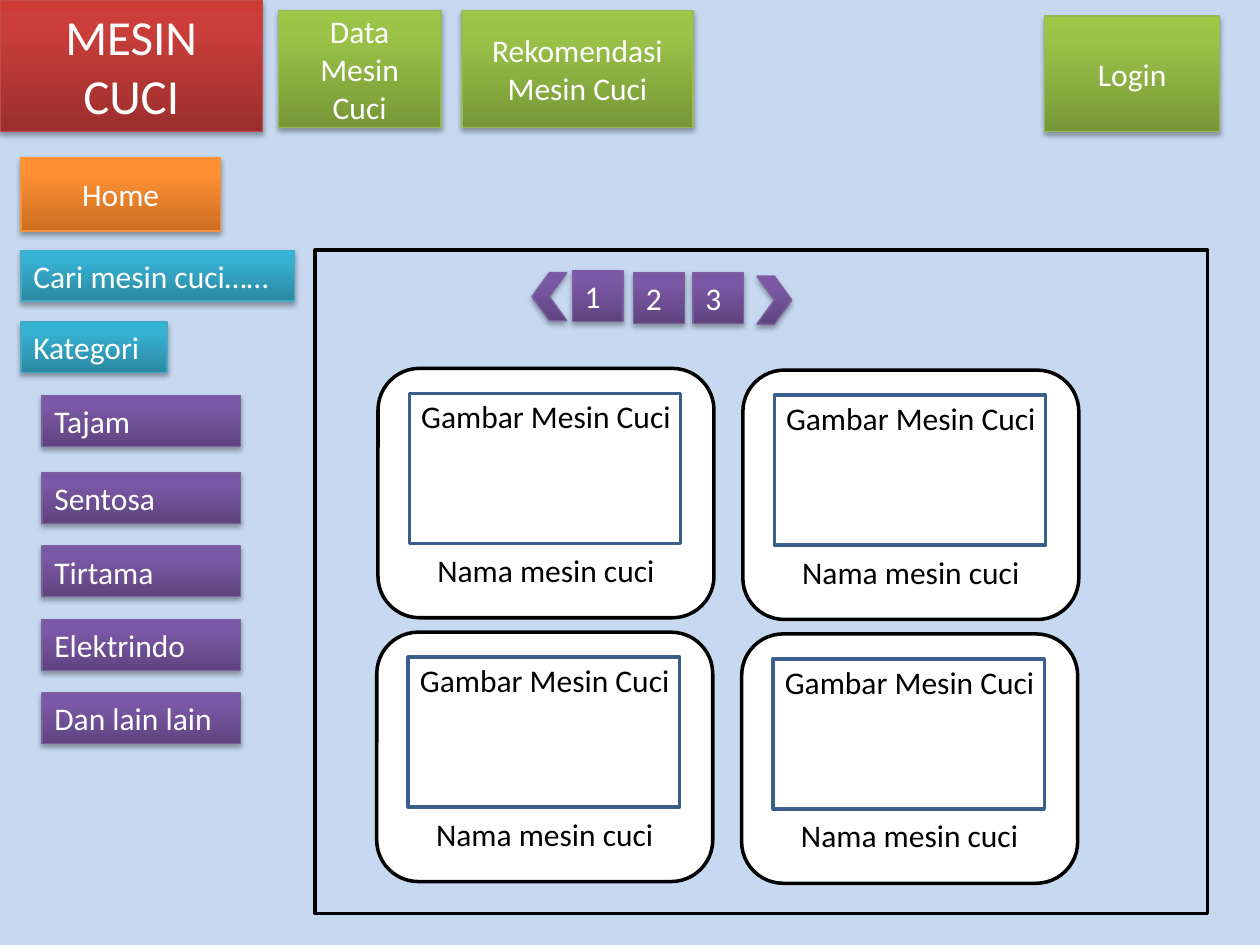
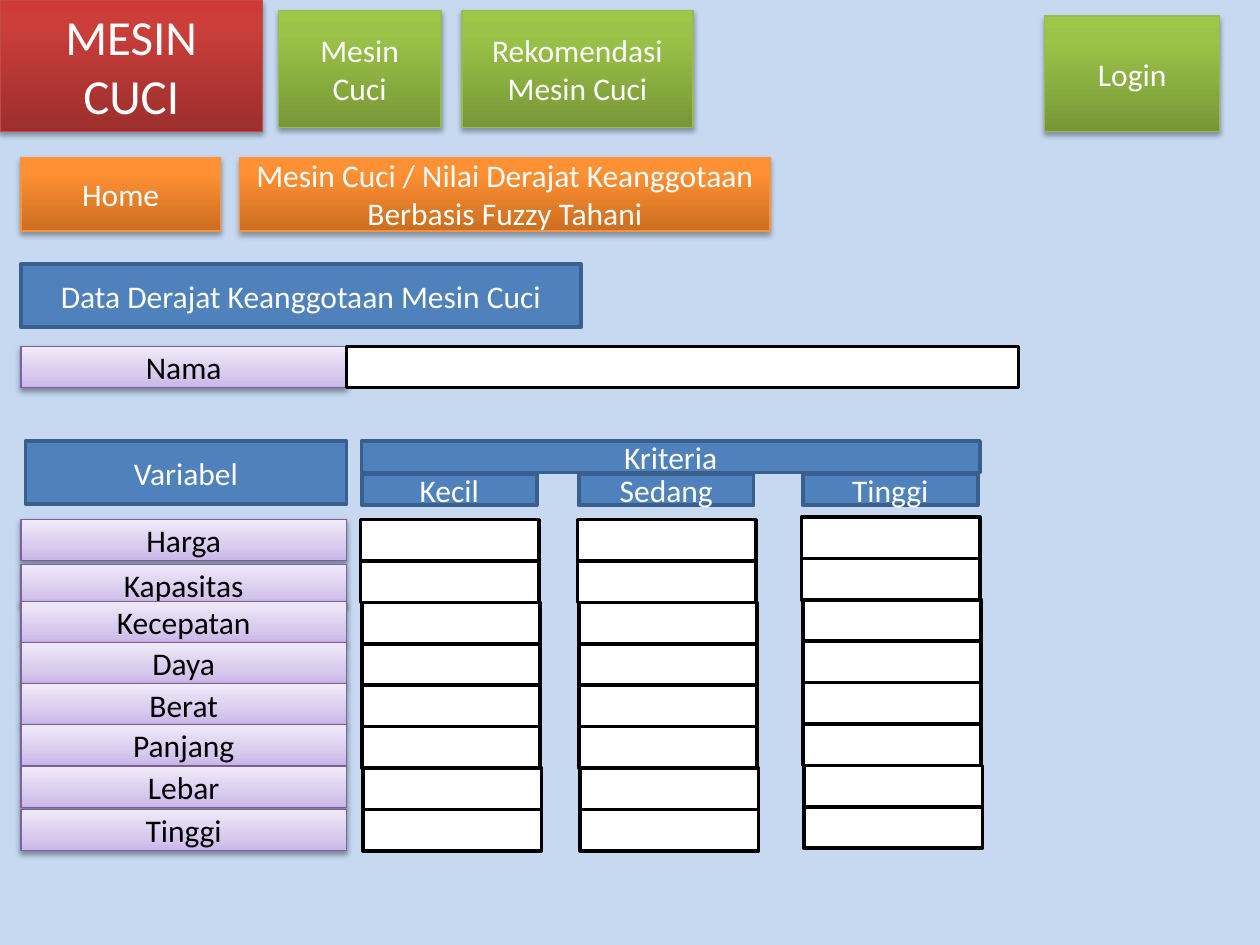
from copy import deepcopy

from lxml.etree import SubElement
from pptx import Presentation
from pptx.dml.color import RGBColor
from pptx.enum.shapes import MSO_SHAPE as SHAPE
from pptx.enum.text import MSO_ANCHOR as ANCHOR, PP_ALIGN as ALIGN
from pptx.oxml.ns import qn
from pptx.util import Pt

FONT = "Calibri"
BACKGROUND = "C6D9F1"
WHITE, BLACK, NAVY = "FFFFFF", "000000", "3A5F8C"
GLOSSY = (0, 0.8, 1)
PALE = (0, 0.35, 1)

GRADIENTS = {
    "red": (GLOSSY, ("9C2F2D", "CB3E3A", "CE3B37"), "BF4C48", WHITE),
    "green": (GLOSSY, ("779737", "9BC348", "9DC746"), "98B955", WHITE),
    "orange": (GLOSSY, ("CC6E20", "FF9034", "FF9136"), "F69240", WHITE),
    "teal": (GLOSSY, ("2A88A2", "37B1D2", "34B4D6"), "46AAC5", WHITE),
    "purple": (GLOSSY, ("5F4480", "7B58A6", "7C57A8"), "7D60A0", WHITE),
    "lilac": (PALE, ("C9B5E8", "D8CBEE", "F0EAF9"), "7D60A0", BLACK),
}


def rgb(value):
    """Turn a hex string into a colour."""
    return RGBColor.from_string(value)


def write(s, lines, color, size=18, align=ALIGN.CENTER, gap=0):
    """Write paragraphs into a shape, with a gap before each one after the first."""
    tf = s.text_frame
    tf.word_wrap = True
    tf.vertical_anchor = ANCHOR.MIDDLE
    for i, line in enumerate(lines):
        p = tf.paragraphs[0] if i == 0 else tf.add_paragraph()
        p.text = line
        p.alignment = align
        p.space_before = Pt(gap if i else 0)
        p.font.name, p.font.size = FONT, Pt(size)
        p.font.color.rgb = rgb(color)


def outlined(shapes, box, fill=None, line=BLACK, kind=SHAPE.RECTANGLE):
    """Add a flat shape with a 2 pt outline."""
    s = shapes.add_shape(kind, *map(Pt, box))
    s.shadow.inherit = False
    if fill:
        s.fill.solid()
        s.fill.fore_color.rgb = rgb(fill)
    else:
        s.fill.background()
    s.line.color.rgb = rgb(line)
    s.line.width = Pt(2)
    return s


def drop_shadow(s, alpha, distance):
    """Give a shape a soft shadow straight below it."""
    s.shadow.inherit = False
    effects = s._element.spPr.find(qn("a:effectLst"))
    shadow = SubElement(effects, qn("a:outerShdw"), blurRad=str(Pt(3.1)),
                        dist=str(Pt(distance)), dir="5400000", rotWithShape="0")
    color = SubElement(shadow, qn("a:srgbClr"), val=BLACK)
    SubElement(color, qn("a:alpha"), val=str(alpha * 1000))


def button(slide, style, box, text="", size=18, align=ALIGN.CENTER, kind=SHAPE.RECTANGLE):
    """Add a raised gradient button in one of the named styles."""
    positions, colors, line, ink = GRADIENTS[style]
    s = slide.shapes.add_shape(kind, *map(Pt, box))
    s.fill.gradient()
    s.fill.gradient_angle = 90
    stops = s._element.spPr.find(qn("a:gradFill")).find(qn("a:gsLst"))
    stops.append(deepcopy(stops[0]))
    for stop, position, color in zip(s.fill.gradient_stops, positions, colors):
        stop.position = position
        stop.color.rgb = rgb(color)
    s.line.color.rgb = rgb(line)
    s.line.width = Pt(0.75)
    drop_shadow(s, *((38, 1.6) if style == "lilac" else (35, 1.8)))
    if text:
        write(s, [text], ink, size, align)
    return s


def heading(slide, box, text):
    """Add a flat blue heading."""
    write(outlined(slide.shapes, box, "4F81BD", NAVY), [text], WHITE)


def new_page(prs, data_label):
    """Add a slide with the title block, the top menu and the home button."""
    slide = prs.slides.add_slide(prs.slide_layouts[6])
    slide.background.fill.solid()
    slide.background.fill.fore_color.rgb = rgb(BACKGROUND)
    button(slide, "red", (0, 0, 150, 75), "MESIN CUCI", 28)
    button(slide, "green", (159, 6, 93, 67), data_label)
    button(slide, "green", (264, 6, 132, 67), "Rekomendasi Mesin Cuci")
    button(slide, "green", (597, 9.25, 100, 65.75), "Login")
    button(slide, "orange", (12, 90, 114, 42), "Home")
    return slide


def sidebar(slide, x, y):
    """Place the search field, the category label and its entries."""
    left = ALIGN.LEFT
    button(slide, "teal", (x, y, 156.5, 29), "Cari mesin cuci……", align=left)
    button(slide, "teal", (x, y + 41, 83.5, 29), "Kategori", align=left)
    entries = (("Tajam", 83), ("Sentosa", 127), ("Tirtama", 169),
               ("Elektrindo", 211), ("Dan lain lain", 253))
    for name, dy in entries:
        button(slide, "purple", (x + 12, y + dy, 113.5, 29), name, align=left)


def pager(slide, x, y):
    """Place the page numbers between two chevrons."""
    for number, dx, dy in (("1", 23, 0), ("2", 58, 1), ("3", 92, 1)):
        button(slide, "purple", (x + dx, y + dy, 29, 29), number, align=ALIGN.LEFT)
    button(slide, "purple", (x + 128.5, y + 3, 20, 27.5), kind=SHAPE.CHEVRON)
    back = button(slide, "purple", (x, y + 1, 20, 27.5), kind=SHAPE.CHEVRON)
    back._element.spPr.xfrm.set("flipH", "1")


def product_card(slide, x, y):
    """Place a rounded card with a picture frame and a name."""
    shapes = slide.shapes.add_group_shape().shapes
    card = outlined(shapes, (x, y, 192, 142.5), WHITE, kind=SHAPE.ROUNDED_RECTANGLE)
    write(card, ["Gambar Mesin Cuci", "Nama mesin cuci"], BLACK, gap=66)
    outlined(shapes, (x + 18, y + 14.25, 155, 85.75), line=NAVY)


def catalogue(slide, x, y):
    """Place the framed catalogue with its pager and four cards."""
    outlined(slide.shapes, (x, y, 510, 379))
    pager(slide, x + 124, y + 11.75)
    for row in range(2):
        for col in range(2):
            product_card(slide, x + 36 + 208.5 * col - 0.7 * row,
                         y + 67.5 + col + 150.75 * row)


def name_field(slide, x, y):
    """Place the name label and its entry box."""
    button(slide, "lilac", (x, y, 186, 23.5), "Nama")
    outlined(slide.shapes, (x + 186, y, 384, 23.5), WHITE)


def membership_grid(slide, x, y):
    """Place the variables against the three criteria, with empty cells."""
    variables = (("Harga", 45), ("Kapasitas", 70.5), ("Kecepatan", 91.75),
                 ("Daya", 115.25), ("Berat", 138.75), ("Panjang", 162),
                 ("Lebar", 186), ("Tinggi", 210.5))
    criteria = (("Kecil", 194, 45), ("Sedang", 318, 45), ("Tinggi", 446, 43.5))
    for name, dy in variables:
        button(slide, "lilac", (x, y + dy, 186, 23.5), name)
    for name, dx, dy in criteria:
        for row in range(len(variables)):
            drift = 0.75 * ((row + 2) // 4)
            outlined(slide.shapes, (x + dx + drift, y + dy + 23.65 * row, 102, 23.65), WHITE)
    heading(slide, (x + 2.5, y, 183.5, 36), "Variabel")
    heading(slide, (x + 194.5, y, 353.5, 18), "Kriteria")
    for name, dx, _ in criteria:
        heading(slide, (x + dx + 0.75, y + 18.75, 100, 18), name)


def catalogue_page(prs):
    """Build the page that shows the washing machines."""
    slide = new_page(prs, "Data Mesin Cuci")
    sidebar(slide, 12, 143)
    catalogue(slide, 180, 143)


def membership_page(prs):
    """Build the page with the membership degrees."""
    slide = new_page(prs, "Mesin Cuci")
    button(slide, "orange", (137, 90, 303, 42),
           "Mesin Cuci / Nilai Derajat Keanggotaan Berbasis Fuzzy Tahani")
    heading(slide, (12, 151, 320, 36), "Data Derajat Keanggotaan Mesin Cuci")
    name_field(slide, 12, 198)
    membership_grid(slide, 12, 252)


def main():
    """Build and save the presentation."""
    prs = Presentation()
    prs.slide_width, prs.slide_height = Pt(720), Pt(540)
    catalogue_page(prs)
    membership_page(prs)
    prs.save("out.pptx")


main()
